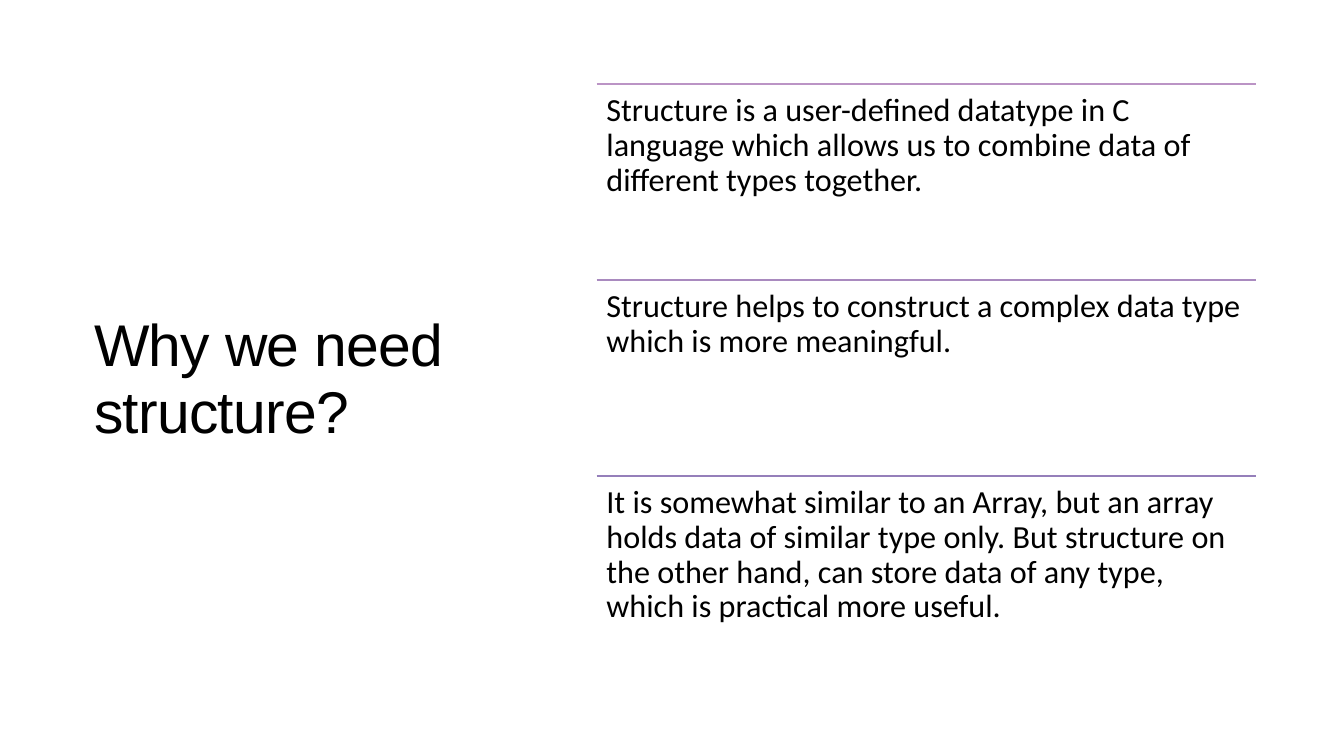
from lxml.etree import SubElement
from pptx import Presentation
from pptx.dml.color import RGBColor
from pptx.enum.shapes import MSO_CONNECTOR
from pptx.enum.text import MSO_ANCHOR, MSO_AUTO_SIZE, PP_ALIGN
from pptx.oxml.ns import qn
from pptx.util import Pt

WHITE = RGBColor(0xFF, 0xFF, 0xFF)
BLACK = RGBColor(0x00, 0x00, 0x00)
PINK_PURPLE = RGBColor(0xBB, 0x94, 0xC5)
PURPLE = RGBColor(0xA9, 0x8A, 0xBF)
BLUE_PURPLE = RGBColor(0x95, 0x7F, 0xBA)

REASONS = [
    (PINK_PURPLE, "Structure is a user-defined datatype in C language which "
     "allows us to combine data of different types together."),
    (PURPLE, "Structure helps to construct a complex data type which is "
     "more meaningful."),
    (BLUE_PURPLE, "It is somewhat similar to an Array, but an array holds data "
     "of similar type only. But structure on the other hand, can store data "
     "of any type, which is practical more useful."),
]
REASON_LEFT, REASON_TOP = 426.2, 60
REASON_WIDTH, REASON_HEIGHT = 471, 140


def write_text(box, text, frame_format, paragraph_format, font_format):
    frame = box.text_frame
    para = frame.paragraphs[0]
    span = para.add_run()
    span.text = text
    span.font.color.rgb = BLACK
    for target, values in ((frame, frame_format), (para, paragraph_format),
                           (span.font, font_format)):
        for name, value in values.items():
            setattr(target, name, value)
    return span


deck = Presentation()
deck.slide_width, deck.slide_height = Pt(960), Pt(540)
page = deck.slides.add_slide(deck.slide_layouts[5])
page.background.fill.solid()
page.background.fill.fore_color.rgb = WHITE

# Title on the left
title = page.shapes.title
title.left, title.top, title.width, title.height = Pt(60), Pt(61), Pt(307.5), Pt(420.5)
title_span = write_text(
    title, "Why we need structure?",
    {"word_wrap": True, "auto_size": MSO_AUTO_SIZE.NONE,
     "vertical_anchor": MSO_ANCHOR.MIDDLE},
    {"alignment": PP_ALIGN.LEFT, "line_spacing": 0.95},
    {"name": "Arial", "size": Pt(42)})
title_span.font._element.set("spc", "-50")  # tighter letters

# Reasons on the right, each under a rule
for index, (color, reason) in enumerate(REASONS):
    top = Pt(REASON_TOP + index * REASON_HEIGHT)
    left, width = Pt(REASON_LEFT), Pt(REASON_WIDTH)

    rule = page.shapes.add_connector(MSO_CONNECTOR.STRAIGHT, left, top, left + width, top)
    rule.line.color.rgb = color
    rule.line.width = Pt(1)
    SubElement(rule._element.spPr, qn("a:effectLst"))

    box = page.shapes.add_textbox(left, top, width, Pt(REASON_HEIGHT))
    margins = {f"margin_{side}": Pt(7) for side in ("left", "top", "right", "bottom")}
    write_text(box, reason,
               {"word_wrap": True, "vertical_anchor": MSO_ANCHOR.TOP, **margins},
               {"alignment": PP_ALIGN.LEFT, "line_spacing": 0.9},
               {"name": "Calibri", "size": Pt(23)})

deck.save("out.pptx")
